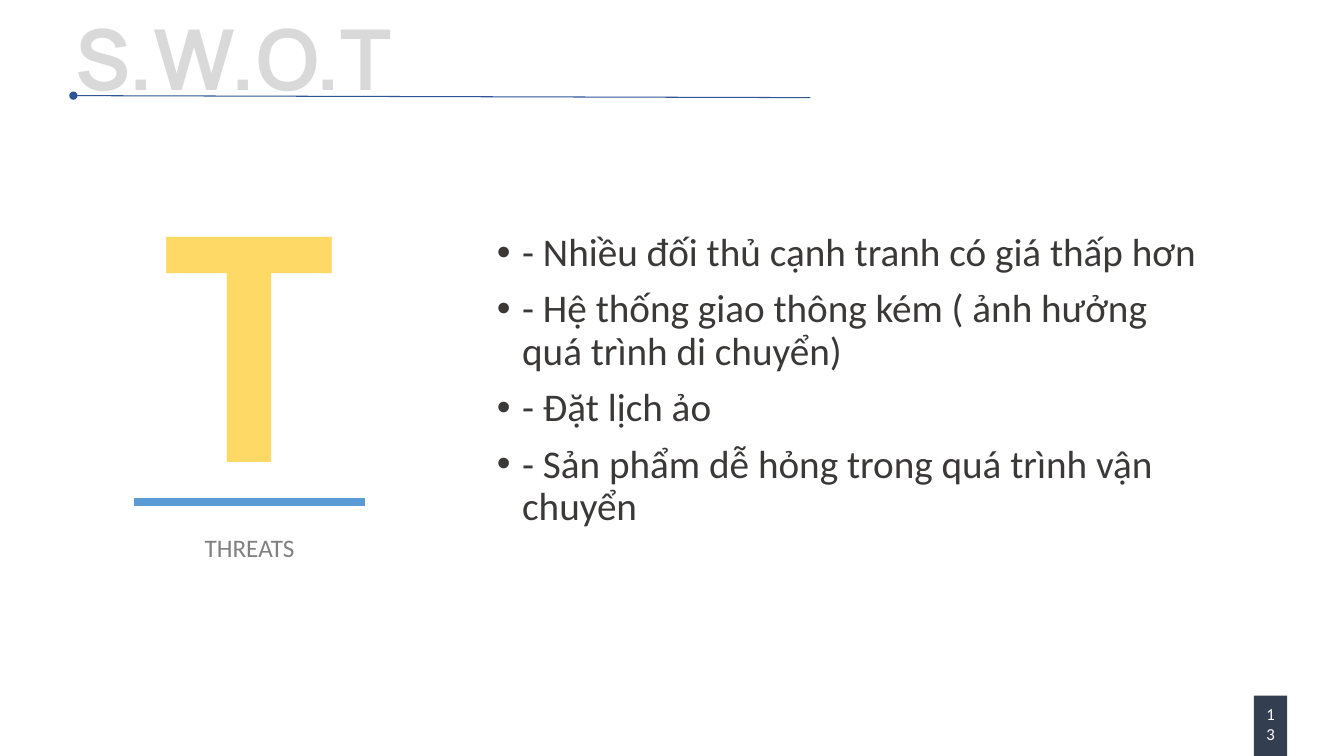
from lxml import etree
from pptx import Presentation
from pptx.dml.color import RGBColor
from pptx.enum import shapes, text
from pptx.oxml import ns
from pptx.util import Cm, Pt

THREATS = [
    "- Nhiều đối thủ cạnh tranh có giá thấp hơn",
    "- Hệ thống giao thông kém ( ảnh hưởng quá trình di chuyển)",
    "- Đặt lịch ảo",
    "- Sản phẩm dễ hỏng trong quá trình vận chuyển",
]


def rgb(value):
    """Turn a hex string into a colour."""
    return RGBColor.from_string(value)


def sub(parent, tag, **attrs):
    """Append a DrawingML element to parent."""
    return etree.SubElement(parent, ns.qn(tag), attrs)


def write(sp, lines, color, para=None, frame=None, bullet=False, **font):
    """Fill a shape with paragraphs of one format."""
    tf = sp.text_frame
    frame = {"word_wrap": True, "vertical_anchor": text.MSO_ANCHOR.TOP,
             **(frame or {})}
    for name, value in frame.items():
        setattr(tf, name, value)
    for i, line in enumerate(lines):
        p = tf.add_paragraph() if i else tf.paragraphs[0]
        for name, value in (para or {}).items():
            setattr(p, name, value)
        if bullet:
            pPr = p._p.get_or_add_pPr()
            pPr.set("marL", str(Cm(0.64)))
            pPr.set("indent", str(-Cm(0.64)))
            sub(pPr, "a:buFont", typeface="Arial")
            sub(pPr, "a:buChar", char="•")
        r = p.add_run()
        r.text = line
        for name, value in {"name": "Calibri", **font}.items():
            setattr(r.font, name, value)
        r.font.color.rgb = rgb(color)


def textbox(s, box, *args, **kwargs):
    """Add a text box at box (left, top, width, height in cm)."""
    write(s.shapes.add_textbox(*map(Cm, box)), *args, **kwargs)


def bar(s, box, color):
    """Add a plain filled rectangle."""
    sp = s.shapes.add_shape(shapes.MSO_SHAPE.RECTANGLE, *map(Cm, box))
    sp.shadow.inherit = False
    sp.fill.solid()
    sp.fill.fore_color.rgb = rgb(color)
    sp.line.fill.background()
    return sp


def heading(s, box):
    """Add the title and its rule with a round start."""
    x, y, w, h = box
    margins = dict.fromkeys(
        ["margin_left", "margin_top", "margin_right", "margin_bottom"], 0)
    textbox(s, (x + 0.05, y, w - 0.33, h), ["S.W.O.T"], "D9D9D9",
            para={"line_spacing": 0.9, "space_before": Pt(10)},
            frame={"word_wrap": False, **margins},
            name="Manrope", size=Pt(60), bold=True)
    rule = s.shapes.add_connector(
        shapes.MSO_CONNECTOR.STRAIGHT,
        Cm(x), Cm(y + 1.95), Cm(x + w), Cm(y + 2))
    rule.line.color.rgb = rgb("2F5597")
    rule.line.width = Pt(0.75)
    sub(rule.line._get_or_add_ln(), "a:headEnd", type="oval")
    sub(rule._element.spPr, "a:effectLst")


def letter_panel(s, box):
    """Add the big letter, the bar below it and its caption."""
    x, y, w, h = box
    para = {"alignment": text.PP_ALIGN.CENTER, "space_before": Pt(20)}
    textbox(s, (x, y, w, 8.59), ["T"], "FFD966",
            para={**para, "line_spacing": 0.9}, size=Pt(248), bold=True)
    bar(s, (x, y + 8.59, w, 0.2), "5B9BD5")
    textbox(s, (x + 0.28, y + h - 0.94, w - 0.56, 0.94), ["THREATS"],
            "808080", para={**para, "line_spacing": 0.8}, size=Pt(18))


def threat_list(s, box):
    """Add the bulleted threats."""
    textbox(s, box, THREATS, "3B3838", bullet=True, size=Pt(28),
            para={"line_spacing": 0.9, "space_before": Pt(10)})


def page_number(s, box):
    """Add the page number tab."""
    write(bar(s, box, "333F50"), ["13"], "FFFFFF", size=Pt(12),
          para={"alignment": text.PP_ALIGN.CENTER},
          frame={"margin_top": Cm(0.2)})


prs = Presentation()
prs.slide_width, prs.slide_height = Cm(33.87), Cm(19.05)
s = prs.slides.add_slide(prs.slide_layouts[6])
heading(s, (1.85, 0.46, 18.57, 3.84))
page_number(s, (31.6, 17.53, 0.84, 1.52))
letter_panel(s, (3.38, 3.96, 5.82, 10.41))
threat_list(s, (12.27, 5.74, 18.47, 8.64))
prs.save("out.pptx")
